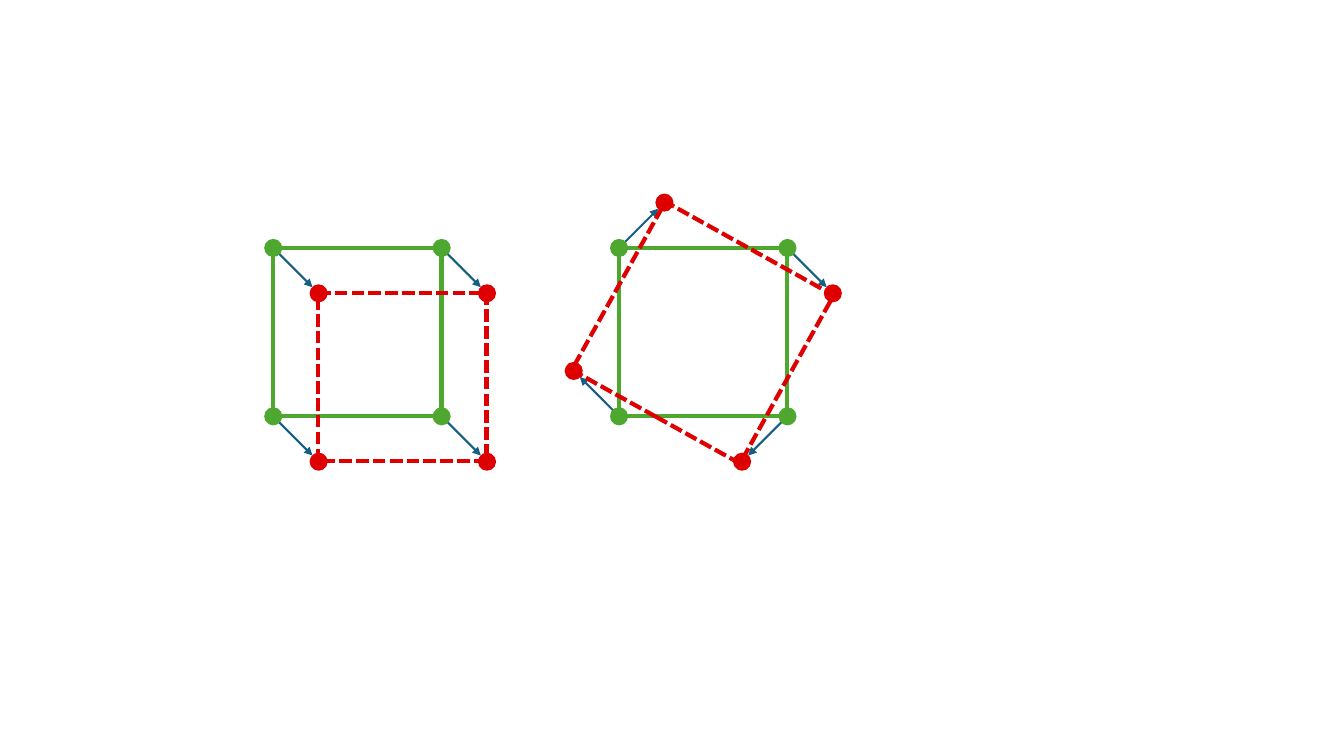
from dataclasses import dataclass

from lxml.etree import SubElement
from pptx import Presentation
from pptx.dml.color import RGBColor
from pptx.enum.dml import MSO_LINE
from pptx.enum.shapes import MSO_CONNECTOR, MSO_SHAPE
from pptx.oxml.ns import qn
from pptx.shapes.shapetree import GroupShapes
from pptx.slide import Slide
from pptx.util import Inches, Pt

SIDE = 1.67
DOT_SIZE = 0.18
CORNER_SHIFT = 0.45
ARROW_SHIFT = 0.39


@dataclass(frozen=True)
class Theme:
    start: RGBColor = RGBColor(0x4E, 0xA7, 0x2E)
    moved: RGBColor = RGBColor(0xDE, 0x00, 0x00)
    arrow: RGBColor = RGBColor(0x15, 0x60, 0x82)
    outline_width: float = 3
    arrow_width: float = 1.5


@dataclass(frozen=True)
class Transformation:
    """A square, and the direction in which each corner moves, clockwise from top left."""
    left: float
    top: float
    directions: tuple[tuple[int, int], ...]
    moved_center: tuple[float, float]
    moved_side: float = SIDE
    rotation: float = 0

    @property
    def center(self) -> tuple[float, float]:
        return self.left + SIDE / 2, self.top + SIDE / 2

    @property
    def corners(self) -> list[tuple[float, float]]:
        right, bottom = self.left + SIDE, self.top + SIDE
        return [(self.left, self.top), (right, self.top),
                (right, bottom), (self.left, bottom)]

    def shifted_corners(self, distance: float) -> list[tuple[float, float]]:
        return [(x + dx * distance, y + dy * distance)
                for (x, y), (dx, dy) in zip(self.corners, self.directions)]


THEME = Theme()
TRANSLATION = Transformation(2.71, 2.46, ((1, 1),) * 4, (3.99, 3.74))
ROTATION = Transformation(6.14, 2.46, ((1, -1), (1, 1), (-1, 1), (-1, -1)),
                          (6.97, 3.3), 1.91, 29.1)


def add_arrow(shapes: GroupShapes, start: tuple[float, float], end: tuple[float, float]) -> None:
    arrow = shapes.add_connector(MSO_CONNECTOR.STRAIGHT, *map(Inches, start + end))
    arrow.line.color.rgb = THEME.arrow
    arrow.line.width = Pt(THEME.arrow_width)
    SubElement(arrow.line._get_or_add_ln(), qn("a:tailEnd"), type="triangle")
    SubElement(arrow._element.spPr, qn("a:effectLst"))


def add_square(shapes: GroupShapes, center: tuple[float, float], side: float,
               color: RGBColor, rotation: float = 0, dashed: bool = False) -> None:
    x, y = center
    square = shapes.add_shape(MSO_SHAPE.RECTANGLE, Inches(x - side / 2), Inches(y - side / 2),
                              Inches(side), Inches(side))
    square.shadow.inherit = False
    square.rotation = rotation
    square.fill.background()
    square.line.color.rgb = color
    square.line.width = Pt(THEME.outline_width)
    if dashed:
        square.line.dash_style = MSO_LINE.SQUARE_DOT


def add_dot(shapes: GroupShapes, center: tuple[float, float], color: RGBColor) -> None:
    x, y = center
    dot = shapes.add_shape(MSO_SHAPE.OVAL, Inches(x - DOT_SIZE / 2), Inches(y - DOT_SIZE / 2),
                           Inches(DOT_SIZE), Inches(DOT_SIZE))
    dot.shadow.inherit = False
    dot.fill.solid()
    dot.fill.fore_color.rgb = color
    dot.line.fill.background()


def add_transformation(slide: Slide, transformation: Transformation) -> None:
    shapes = slide.shapes.add_group_shape().shapes
    for start, end in zip(transformation.corners, transformation.shifted_corners(ARROW_SHIFT)):
        add_arrow(shapes, start, end)
    add_square(shapes, transformation.center, SIDE, THEME.start)
    add_square(shapes, transformation.moved_center, transformation.moved_side,
               THEME.moved, transformation.rotation, dashed=True)
    for corner in transformation.shifted_corners(CORNER_SHIFT):
        add_dot(shapes, corner, THEME.moved)
    for corner in transformation.corners:
        add_dot(shapes, corner, THEME.start)


def main() -> None:
    presentation = Presentation()
    presentation.slide_width = Inches(13.33)
    presentation.slide_height = Inches(7.5)
    slide = presentation.slides.add_slide(presentation.slide_layouts.get_by_name("Blank"))
    for transformation in (TRANSLATION, ROTATION):
        add_transformation(slide, transformation)
    presentation.save("out.pptx")


if __name__ == "__main__":
    main()
